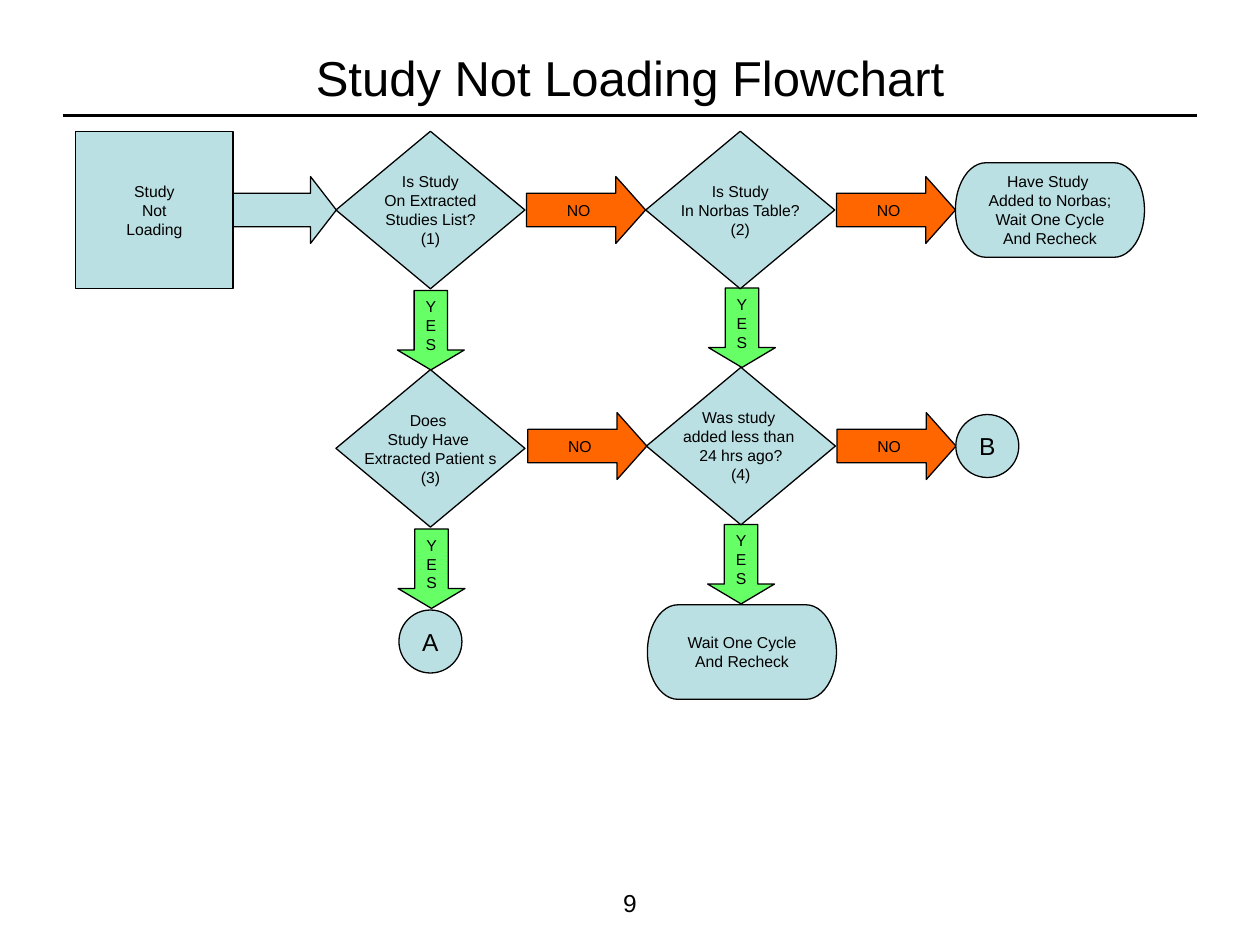
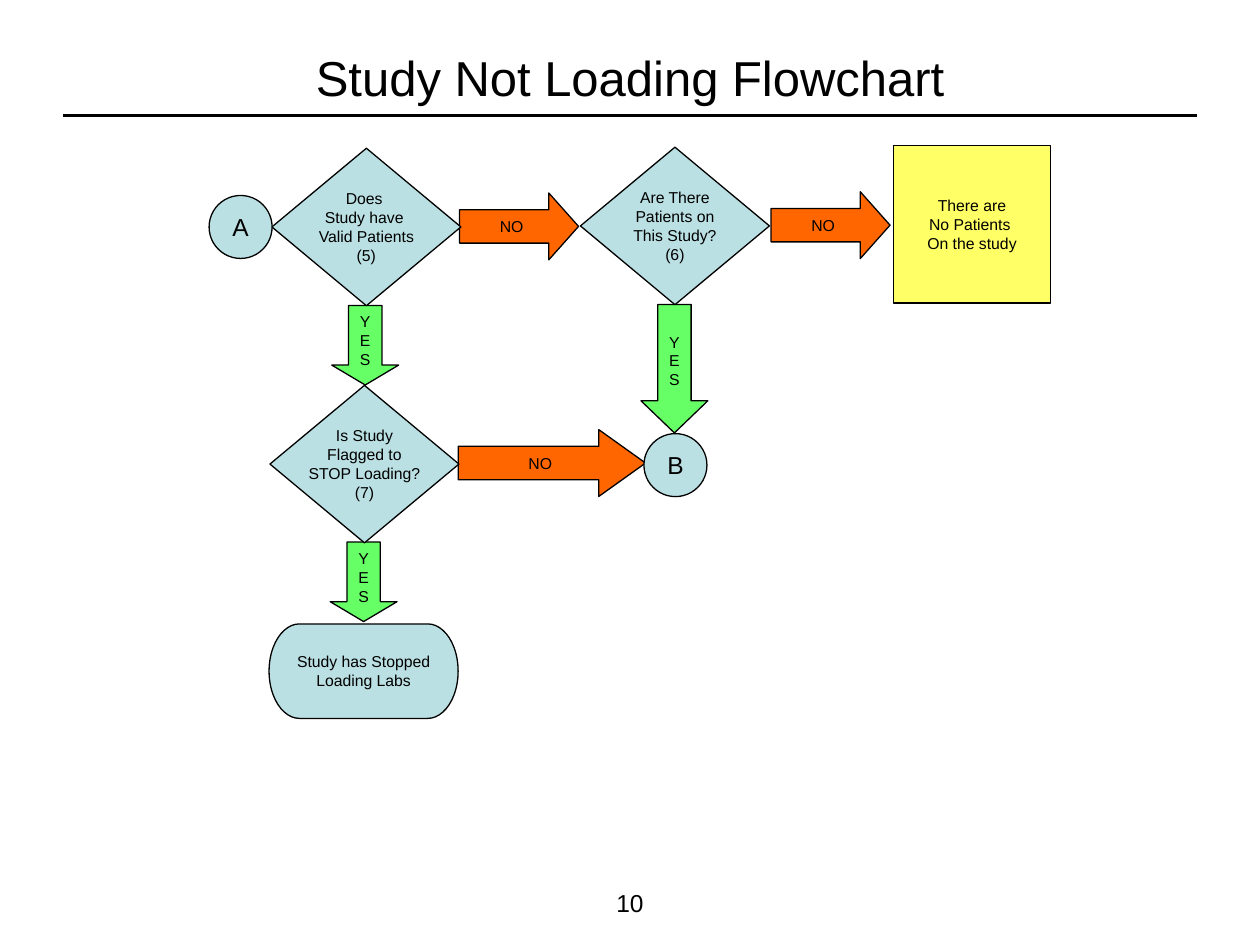
from dataclasses import dataclass
from enum import Enum

from lxml.etree import SubElement
from pptx import Presentation
from pptx.dml.color import RGBColor
from pptx.enum.shapes import MSO_CONNECTOR, MSO_SHAPE
from pptx.enum.text import MSO_ANCHOR as Anchor, PP_ALIGN as Align
from pptx.oxml.ns import qn
from pptx.slide import Slide
from pptx.text.text import TextFrame
from pptx.util import Pt


@dataclass(frozen=True)
class Theme:
    font: str = "Arial"
    ink: RGBColor = RGBColor(0, 0, 0)
    step: RGBColor = RGBColor(0xBB, 0xE0, 0xE3)
    notice: RGBColor = RGBColor(0xFF, 0xFF, 0x66)
    no: RGBColor = RGBColor(0xFF, 0x66, 0x00)
    yes: RGBColor = RGBColor(0x66, 0xFF, 0x66)
    title_size: float = 28
    label_size: float = 9
    large_size: float = 14
    outline: float = 0.75
    rule: float = 1.25


THEME = Theme()
TITLE = "Study Not Loading Flowchart"
ARROW_THICKNESS = 38.2
HEAD_SHARE = 0.25
NO_LENGTH = 68
YES_LENGTH = 45.4


@dataclass(frozen=True)
class NodeStyle:
    preset: MSO_SHAPE
    width: float
    height: float
    fill: RGBColor = THEME.step
    size: float = THEME.label_size


class Kind(Enum):
    START = NodeStyle(MSO_SHAPE.FLOWCHART_PROCESS, 90, 90)
    NOTICE = NodeStyle(MSO_SHAPE.FLOWCHART_PROCESS, 90, 90, fill=THEME.notice)
    DECISION = NodeStyle(MSO_SHAPE.FLOWCHART_DECISION, 108, 90)
    END = NodeStyle(MSO_SHAPE.FLOWCHART_TERMINATOR, 108, 54)
    JUMP = NodeStyle(MSO_SHAPE.FLOWCHART_CONNECTOR, 36, 36, size=THEME.large_size)


@dataclass(frozen=True)
class Node:
    kind: Kind
    center_x: float
    center_y: float
    lines: tuple[str, ...]


@dataclass(frozen=True)
class Arrow:
    tail_x: float
    tail_y: float
    length: float
    fill: RGBColor
    lines: tuple[str, ...] = ()
    down: bool = False


@dataclass(frozen=True)
class Page:
    number: str
    nodes: tuple[Node, ...]
    arrows: tuple[Arrow, ...]


def no_arrow(tail_x: float, tail_y: float, length: float = NO_LENGTH) -> Arrow:
    return Arrow(tail_x, tail_y, length, THEME.no, ("NO",))


def yes_arrow(tail_x: float, tail_y: float, length: float = YES_LENGTH) -> Arrow:
    return Arrow(tail_x, tail_y, length, THEME.yes, ("Y", "E", "S"), down=True)


PAGES = (
    Page(
        "9",
        (
            Node(Kind.START, 88.2, 120, ("Study", "Not", "Loading")),
            Node(Kind.DECISION, 246, 120,
                 ("Is Study", "On Extracted", "Studies List?", "(1)")),
            Node(Kind.DECISION, 246, 256.2,
                 ("Does ", "Study Have ", "Extracted Patient s", "(3)")),
            Node(Kind.JUMP, 246, 366.6, ("A",)),
            Node(Kind.DECISION, 423, 120, ("Is Study", "In Norbas Table?", "(2)")),
            Node(Kind.DECISION, 423.4, 254.9,
                 ("Was study ", "added less than ", "24 hrs ago?", "(4)")),
            Node(Kind.JUMP, 564.2, 254.9, ("B",)),
            Node(Kind.END, 600, 120,
                 ("Have Study ", "Added to Norbas;", "Wait One Cycle", "And Recheck")),
            Node(Kind.END, 424, 372.6, ("Wait One Cycle", "And Recheck")),
        ),
        (
            Arrow(133.2, 120, 59, THEME.step),
            no_arrow(300.9, 120),
            no_arrow(478, 120),
            no_arrow(301.6, 254.9),
            no_arrow(478.3, 254.9),
            yes_arrow(246.2, 166),
            yes_arrow(424, 164.6),
            yes_arrow(246.6, 302.3),
            yes_arrow(423.5, 299.7),
        ),
    ),
    Page(
        "10",
        (
            Node(Kind.END, 207.8, 383.5, ("Study has Stopped", "Loading Labs")),
            Node(Kind.DECISION, 209.4, 129.7,
                 ("Does ", "Study have ", "Valid Patients", "(5)")),
            Node(Kind.JUMP, 137.5, 129.7, ("A",)),
            Node(Kind.DECISION, 385.7, 129.1,
                 ("Are There", "Patients on", "This Study?", "(6)")),
            Node(Kind.NOTICE, 555.4, 128.1,
                 ("There are", "No Patients ", "On the study")),
            Node(Kind.DECISION, 208.3, 265.2,
                 ("Is Study", "Flagged to", "STOP Loading?", "(7)")),
            Node(Kind.JUMP, 386, 265.8, ("B",)),
        ),
        (
            no_arrow(262.6, 129.4),
            no_arrow(440.6, 128.7),
            no_arrow(261.9, 264.6, 107),
            yes_arrow(208.7, 174.6),
            yes_arrow(207.8, 309.8),
            yes_arrow(385.4, 174, 73.4),
        ),
    ),
)


def write_lines(frame: TextFrame, lines: tuple[str, ...], size: float,
                wrap: bool = False, anchor: Anchor = Anchor.MIDDLE) -> None:
    frame.word_wrap = wrap
    frame.vertical_anchor = anchor
    for index, line in enumerate(lines):
        paragraph = frame.add_paragraph() if index else frame.paragraphs[0]
        paragraph.alignment = Align.CENTER
        run = paragraph.add_run()
        run.text = line
        run.font.name = THEME.font
        run.font.size = Pt(size)
        run.font.color.rgb = THEME.ink


def add_box(slide: Slide, preset: MSO_SHAPE, left: float, top: float, width: float,
            height: float, fill: RGBColor, lines: tuple[str, ...], size: float,
            adjustments: tuple[float, ...] = ()) -> None:
    shape = slide.shapes.add_shape(preset, Pt(left), Pt(top), Pt(width), Pt(height))
    for index, value in enumerate(adjustments):
        shape.adjustments[index] = value
    shape.shadow.inherit = False
    shape.fill.solid()
    shape.fill.fore_color.rgb = fill
    shape.line.color.rgb = THEME.ink
    shape.line.width = Pt(THEME.outline)
    write_lines(shape.text_frame, lines, size)


def add_node(slide: Slide, node: Node) -> None:
    style = node.kind.value
    add_box(slide, style.preset, node.center_x - style.width / 2,
            node.center_y - style.height / 2, style.width, style.height,
            style.fill, node.lines, style.size)


def add_arrow(slide: Slide, arrow: Arrow) -> None:
    half = ARROW_THICKNESS / 2
    if arrow.down:
        preset = MSO_SHAPE.DOWN_ARROW
        bounds = (arrow.tail_x - half, arrow.tail_y, ARROW_THICKNESS, arrow.length)
    else:
        preset = MSO_SHAPE.RIGHT_ARROW
        bounds = (arrow.tail_x, arrow.tail_y - half, arrow.length, ARROW_THICKNESS)
    head = arrow.length * HEAD_SHARE / ARROW_THICKNESS
    add_box(slide, preset, *bounds, arrow.fill, arrow.lines, THEME.label_size, (0.5, head))


def add_text(slide: Slide, text: str, left: float, top: float, width: float,
             height: float, size: float, anchor: Anchor) -> None:
    box = slide.shapes.add_textbox(Pt(left), Pt(top), Pt(width), Pt(height))
    write_lines(box.text_frame, (text,), size, wrap=True, anchor=anchor)


def add_frame(slide: Slide, number: str) -> None:
    add_text(slide, TITLE, 36, 21.6, 648, 44.6, THEME.title_size, Anchor.MIDDLE)
    rule = slide.shapes.add_connector(MSO_CONNECTOR.STRAIGHT, Pt(36), Pt(66), Pt(684), Pt(66))
    rule.line.color.rgb = THEME.ink
    rule.line.width = Pt(THEME.rule)
    SubElement(rule._element.spPr, qn("a:effectLst"))
    add_text(slide, number, 276, 504, 168, 25.2, THEME.large_size, Anchor.TOP)


def main() -> None:
    presentation = Presentation()
    presentation.slide_width = Pt(720)
    presentation.slide_height = Pt(540)
    for page in PAGES:
        slide = presentation.slides.add_slide(presentation.slide_layouts[6])
        add_frame(slide, page.number)
        for arrow in page.arrows:
            add_arrow(slide, arrow)
        for node in page.nodes:
            add_node(slide, node)
    presentation.save("out.pptx")


if __name__ == "__main__":
    main()
